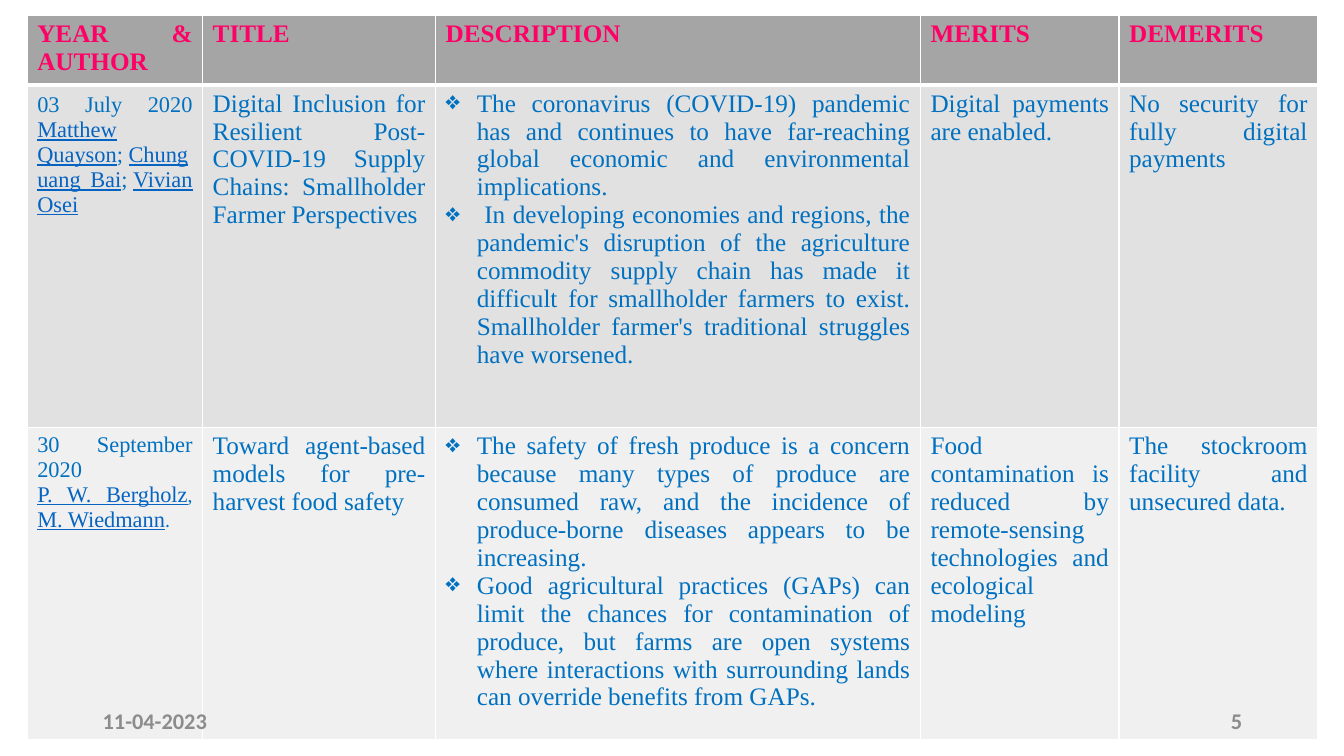
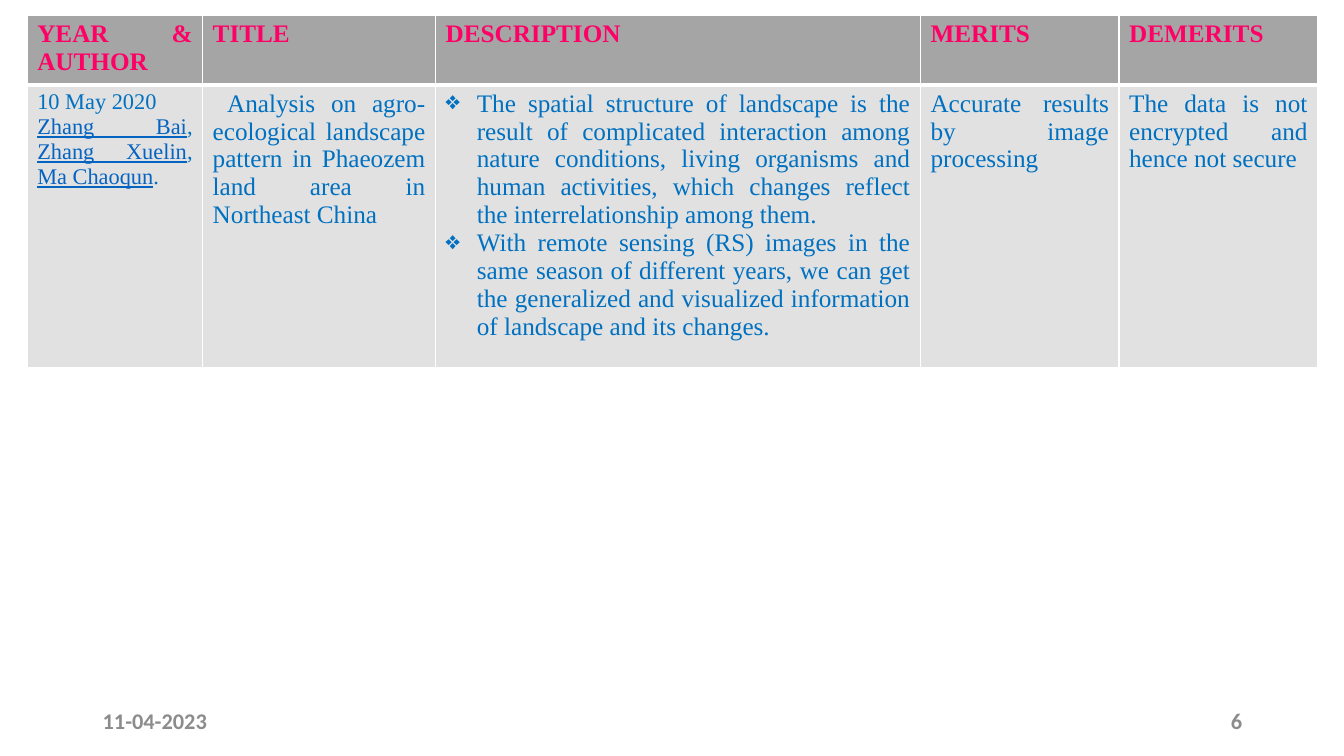
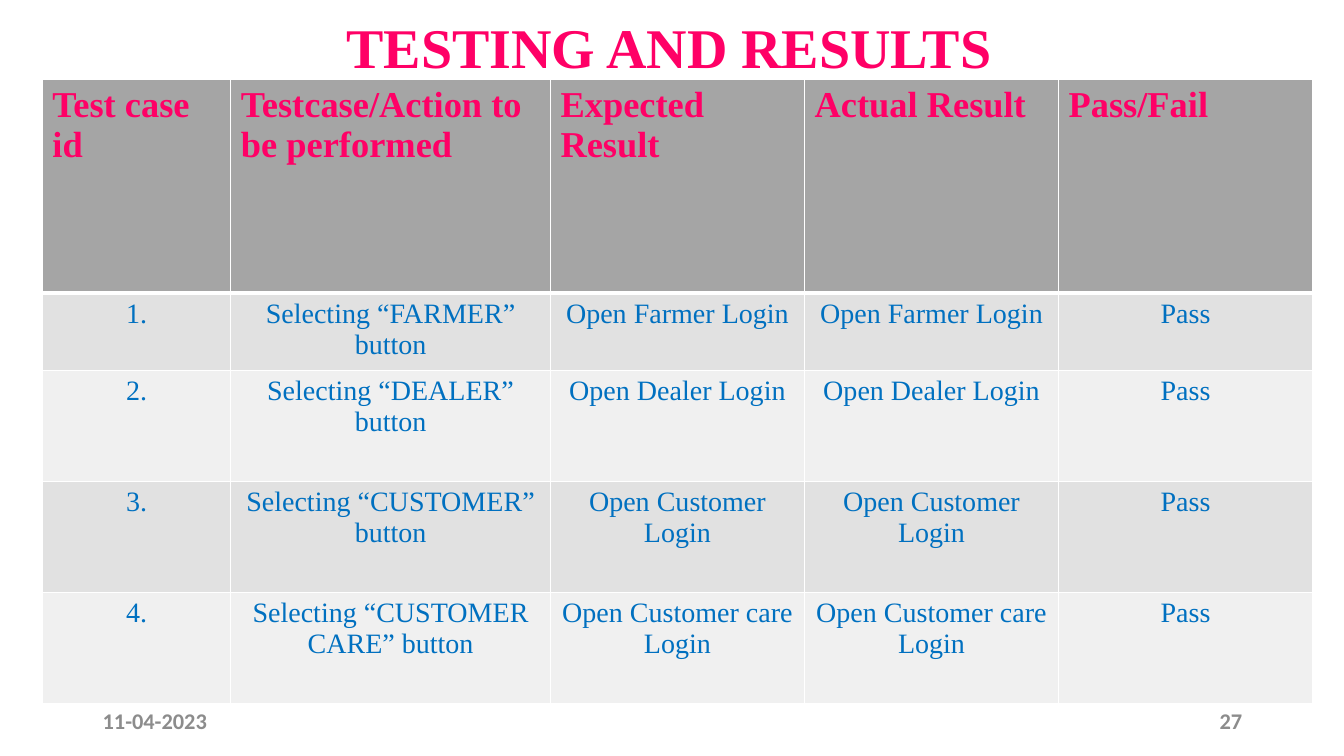
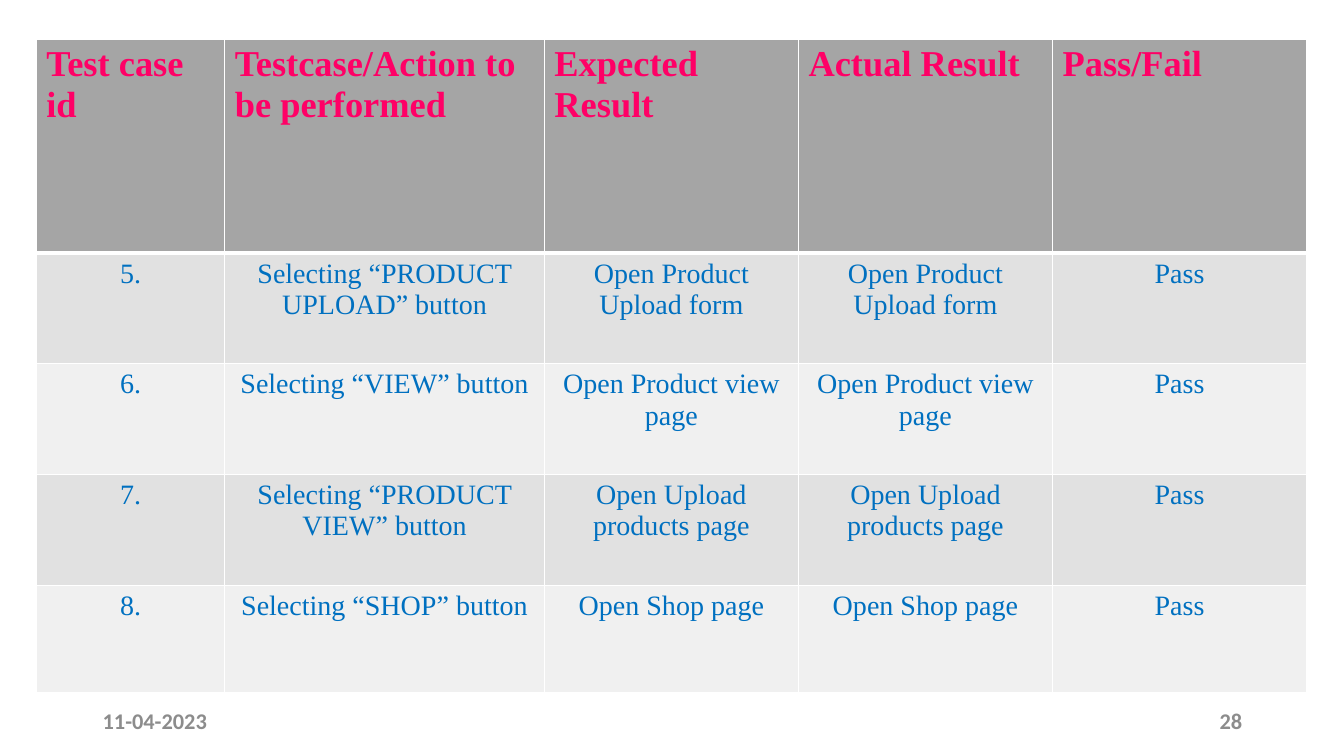
from dataclasses import dataclass

from lxml import etree
from pptx import Presentation
from pptx.dml.color import RGBColor
from pptx.enum.text import MSO_ANCHOR, MSO_AUTO_SIZE, PP_ALIGN
from pptx.oxml.ns import qn
from pptx.util import Inches, Pt

LEFT, MID, RIGHT, FULL = PP_ALIGN.LEFT, PP_ALIGN.CENTER, PP_ALIGN.RIGHT, PP_ALIGN.JUSTIFY
MIDDLE = MSO_ANCHOR.MIDDLE
GROW, FIXED = MSO_AUTO_SIZE.SHAPE_TO_FIT_TEXT, MSO_AUTO_SIZE.NONE
NBSP = chr(160)


@dataclass(frozen=True)
class Font:
    size: int
    color: str
    bold: bool = False
    line: bool = False
    face: str = "Times New Roman"


class Theme:
    # Colours
    pink, blue, link, gray = "FF0066", "0070C0", "0563C1", "8C8C8C"
    head, bands, rule = "A5A5A5", ("E1E1E1", "F0F0F0"), "FFFFFF"
    # Type
    title = Font(40, pink, bold=True)
    small = Font(18, pink, bold=True)
    large = Font(26, pink, bold=True)
    body = Font(18, blue)
    test = Font(20, blue)
    note = Font(16, blue)
    name = Font(16, link, line=True)
    comma = Font(14, blue)
    stop = Font(14, blue, face="Calibri")
    foot = Font(16, gray, bold=True, face="Calibri")
    # Lines and bullets
    thin, thick = 1, 3
    mark, hang = "❖", 0.31


class Deck:
    def __init__(self, theme):
        self.theme = theme
        self.prs = Presentation()
        self.prs.slide_width, self.prs.slide_height = Inches(13.33), Inches(7.5)
        self.slide = None

    def page(self):
        self.slide = self.prs.slides.add_slide(self.prs.slide_layouts[6])

    def put(self, frame, paras, align, bullet=False):
        """Each paragraph is a list of (text, font) runs."""
        for i, runs in enumerate(paras):
            para = frame.paragraphs[0] if i == 0 else frame.add_paragraph()
            para.alignment = align
            if bullet:
                self.bullet(para)
            for text, font in runs:
                run = para.add_run()
                run.text = text
                run.font.name, run.font.size = font.face, Pt(font.size)
                run.font.bold, run.font.underline = font.bold, font.line
                run.font.color.rgb = RGBColor.from_string(font.color)

    def bullet(self, para):
        props = para._p.get_or_add_pPr()
        hang = Inches(self.theme.hang)
        props.set("marL", str(hang))
        props.set("indent", str(-hang))
        etree.SubElement(props, qn("a:buChar")).set("char", self.theme.mark)

    def text(self, box, text, font, align=LEFT, anchor=None, wrap=True):
        shape = self.slide.shapes.add_textbox(*map(Inches, box))
        frame = shape.text_frame
        frame.word_wrap = wrap
        frame.auto_size = FIXED if wrap else GROW
        if anchor is not None:
            frame.vertical_anchor = anchor
        self.put(frame, [[(text, font)]], align)

    def footer(self, number):
        font = self.theme.foot
        self.text((0.92, 6.95, 3, 0.4), "11-04-2023", font, anchor=MIDDLE)
        self.text((9.42, 6.95, 3, 0.4), str(number), font, RIGHT, MIDDLE)

    def paint(self, cell, fill, top, base):
        cell.fill.solid()
        cell.fill.fore_color.rgb = RGBColor.from_string(fill)
        props = cell._tc.get_or_add_tcPr()
        sides = (("L", self.theme.thin), ("R", self.theme.thin), ("T", top), ("B", base))
        for i, (side, width) in enumerate(sides):
            line = etree.Element(qn("a:ln" + side), w=str(Pt(width)))
            solid = etree.SubElement(line, qn("a:solidFill"))
            etree.SubElement(solid, qn("a:srgbClr")).set("val", self.theme.rule)
            props.insert(i, line)

    def table(self, left, top, cols, rows, cells, align, list_col=None):
        """The first entry of align is for the header, the second for the body."""
        th = self.theme
        area = map(Inches, (left, top, sum(cols), sum(rows)))
        grid = self.slide.shapes.add_table(len(rows), len(cols), *area).table
        for col, width in zip(grid.columns, cols):
            col.width = Inches(width)
        for r, (height, line) in enumerate(zip(rows, cells)):
            grid.rows[r].height = Inches(height)
            fill = th.bands[(r - 1) % 2] if r else th.head
            over = th.thick if r == 1 else th.thin
            under = th.thin if r else th.thick
            for c, paras in enumerate(line):
                cell = grid.cell(r, c)
                self.paint(cell, fill, over, under)
                self.put(cell.text_frame, paras, align[min(r, 1)],
                         bullet=r > 0 and c == list_col)

    def survey(self, rows, papers):
        """Table of papers: authors, title, points, merits, demerits."""
        th = self.theme
        heads = ("YEAR & AUTHOR", "TITLE", "DESCRIPTION", "MERITS", "DEMERITS")
        cells = [[[[(head, th.small)]] for head in heads]]
        for who, *rest in papers:
            cells.append([who] + [[[(text, th.body)] for text in part] for part in rest])
        cols = (1.74, 2.31, 4.81, 1.97, 1.97)
        self.table(0.27, 0.15, cols, rows, cells, (FULL, FULL), list_col=2)

    def tests(self, left, top, rows, first, cases):
        """Table of test cases: button and the page it opens."""
        th = self.theme
        heads = ("Test case id", "Testcase/Action to be performed",
                 "Expected Result", "Actual Result", "Pass/Fail")
        cells = [[[[(head, th.large)]] for head in heads]]
        for number, (button, goal) in enumerate(cases, first):
            line = (f"{number}.", f"Selecting “{button}” button",
                    f"Open {goal}", f"Open {goal}", "Pass")
            cells.append([[[(text, th.test)]] for text in line])
        self.table(left, top, (1.87, 3.17, 2.52, 2.52, 2.52), rows, cells, (LEFT, MID))


def main():
    th = Theme()
    deck = Deck(th)
    gap = (";" + NBSP, th.note)

    # Survey, first part
    deck.page()
    deck.survey((0.69, 3.4, 3.1), [
        ([[("03 July 2020", th.note), (" ", th.body), ("Matthew Quayson", th.name), gap,
           ("Chunguang Bai", th.name), gap, ("Vivian Osei", th.name)]],
         ["Digital Inclusion for Resilient Post-COVID-19 Supply Chains: "
          "Smallholder Farmer Perspectives"],
         ["The coronavirus (COVID-19) pandemic has and continues to have "
          "far-reaching global economic and environmental implications.",
          " In developing economies and regions, the pandemic's disruption of the "
          "agriculture commodity supply chain has made it difficult for smallholder "
          "farmers to exist. Smallholder farmer's traditional struggles have worsened."],
         ["Digital payments are enabled."],
         ["No security for fully digital payments"]),
        ([[("30 September 2020", th.note)],
          [("P. W. Bergholz", th.name), (", ", th.comma),
           ("M. Wiedmann", th.name), (".", th.stop)]],
         ["Toward agent-based models for pre-harvest food safety"],
         ["The safety of fresh produce is a concern because many types of produce are "
          "consumed raw, and the incidence of produce-borne diseases appears to be "
          "increasing.",
          "Good agricultural practices (GAPs) can limit the chances for contamination "
          "of produce, but farms are open systems where interactions with surrounding "
          "lands can override benefits from GAPs."],
         ["Food contamination is reduced by remote-sensing technologies and "
          "ecological modeling"],
         ["The stockroom facility and unsecured data."]),
    ])
    deck.footer(5)

    # Survey, second part
    deck.page()
    deck.survey((0.69, 2.81), [
        ([[("10 May 2020", th.note)],
          [("Zhang Bai", th.name), (", ", th.note), ("Zhang Xuelin", th.name),
           (", ", th.note), ("Ma Chaoqun", th.name), (".", th.note)]],
         [" Analysis on agro-ecological landscape pattern in Phaeozem land area in "
          "Northeast China"],
         ["The spatial structure of landscape is the result of complicated interaction "
          "among nature conditions, living organisms and human activities, which "
          "changes reflect the interrelationship among them.",
          "With remote sensing (RS) images in the same season of different years, we "
          "can get the generalized and visualized information of landscape and its "
          "changes."],
         ["Accurate results by image processing"],
         ["The data is not encrypted and hence not secure"]),
    ])
    deck.footer(6)

    # Tests 1 to 4
    deck.page()
    deck.text((3.34, 0.08, 6.66, 0.77), "TESTING AND RESULTS", th.title, wrap=False)
    deck.tests(0.42, 0.79, (2.12, 0.76, 1.1, 1.1, 1.1), 1, [
        ("FARMER", "Farmer Login"),
        ("DEALER", "Dealer Login"),
        ("CUSTOMER", "Customer Login"),
        ("CUSTOMER CARE", "Customer care Login"),
    ])
    deck.footer(27)

    # Tests 5 to 8
    deck.page()
    deck.tests(0.36, 0.39, (2.12, 1.1, 1.1, 1.1, 1.06), 5, [
        ("PRODUCT UPLOAD", "Product Upload form"),
        ("VIEW", "Product view page"),
        ("PRODUCT VIEW", "Upload products page"),
        ("SHOP", "Shop page"),
    ])
    deck.footer(28)

    deck.prs.save("out.pptx")


if __name__ == "__main__":
    main()
